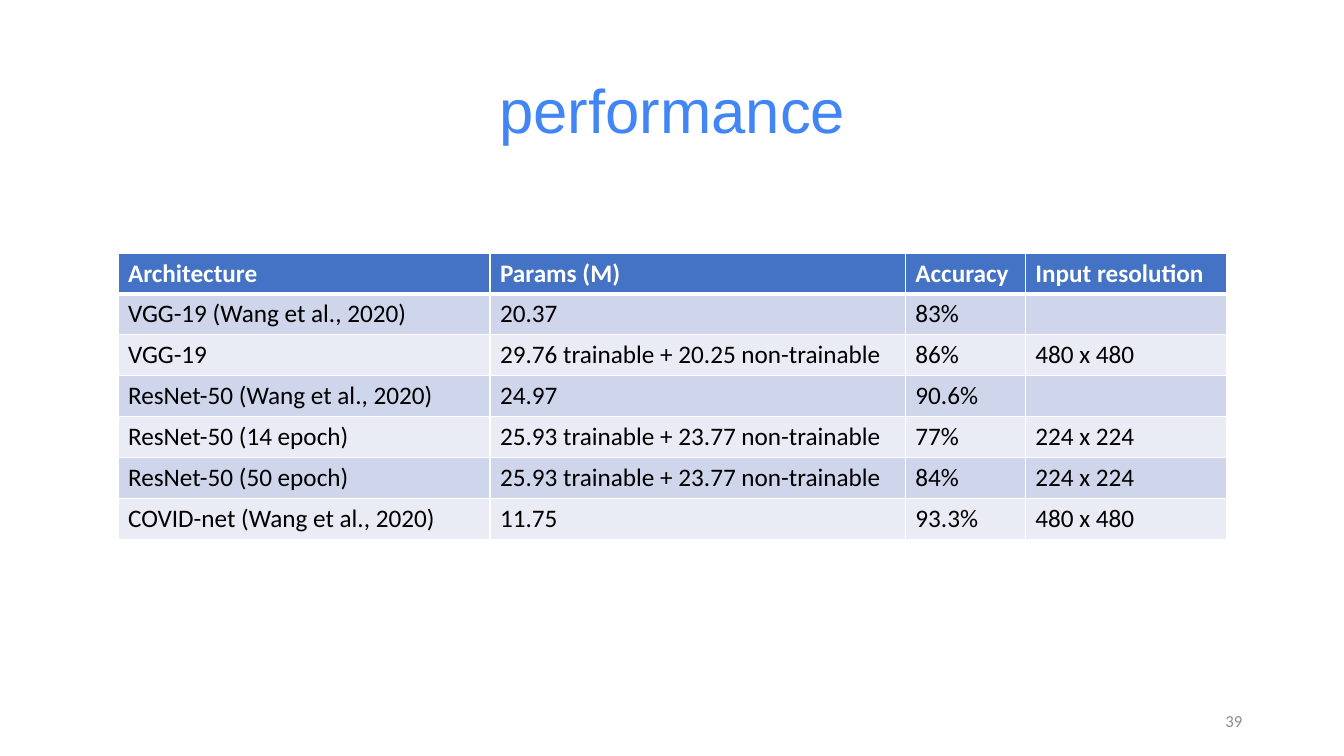
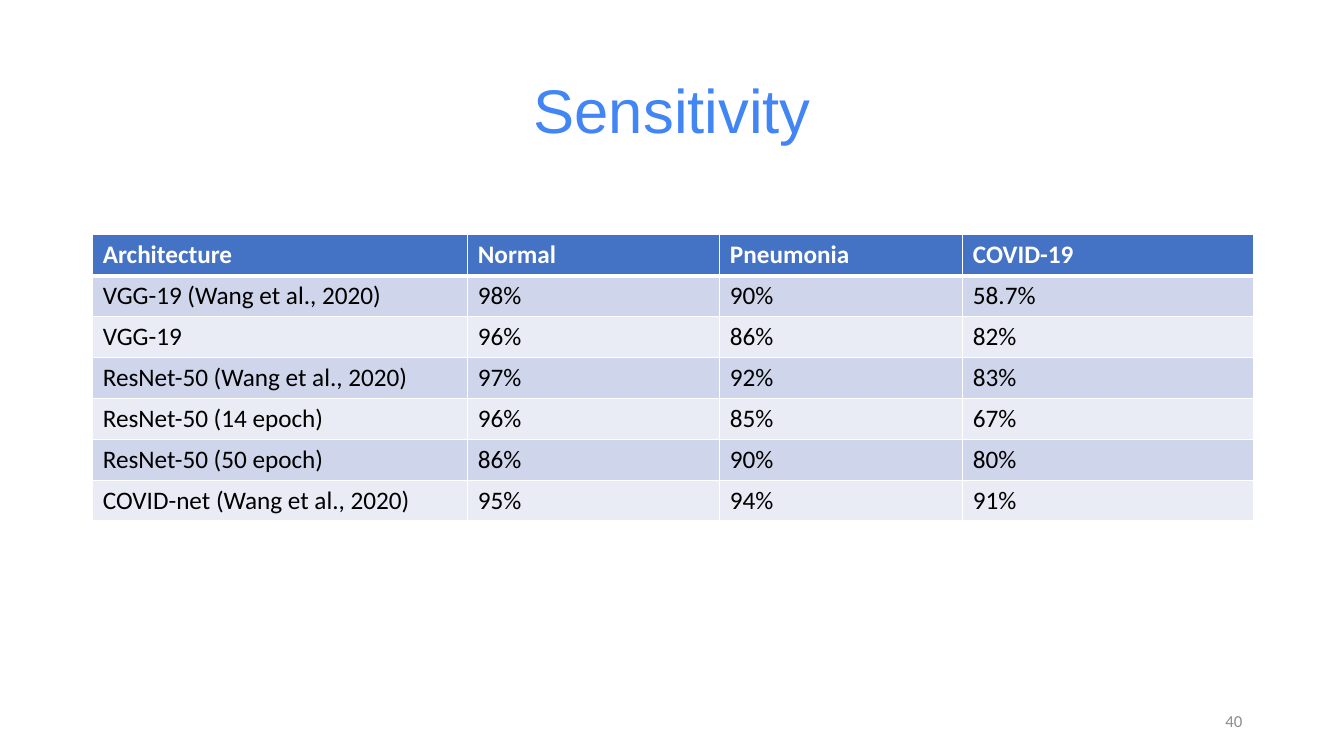
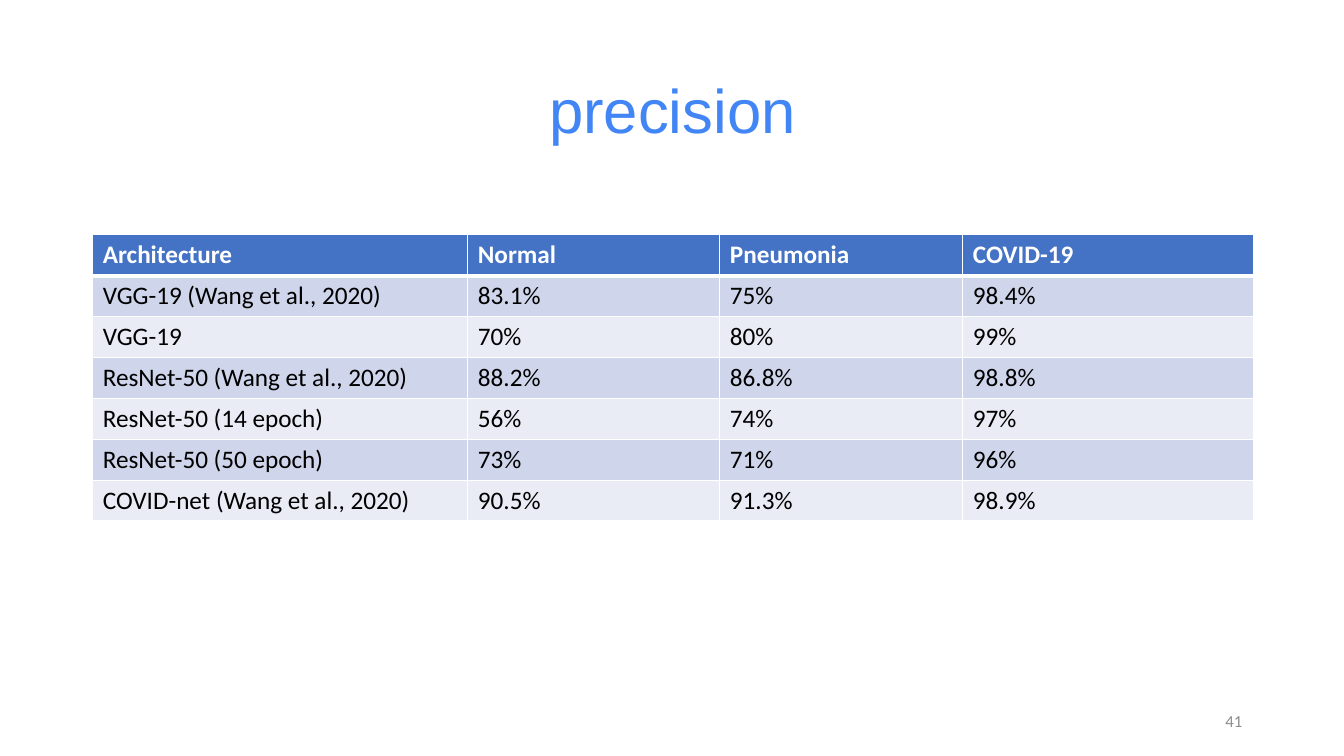
import pptx
import pptx.dml.color
import pptx.enum.text
import pptx.oxml.ns
import pptx.util
from lxml import etree

Inches = pptx.util.Inches
Align = pptx.enum.text.PP_ALIGN

COLORS = {
    "title": "4285F4",
    "header": "4472C4",
    "band_dark": "CFD5EA",
    "band_light": "E9EBF5",
    "white": "FFFFFF",
    "black": "000000",
    "page_number": "8C8C8C",
}
FIRST_PAGE = 39
TABLE_HEIGHT = 2.84

MODELS = [
    "VGG-19 (Wang et al., 2020)",
    "VGG-19",
    "ResNet-50 (Wang et al., 2020)",
    "ResNet-50 (14 epoch)",
    "ResNet-50 (50 epoch)",
    "COVID-net (Wang et al., 2020)",
]
PERFORMANCE_LAYOUT = {"left": 1.17, "top": 2.51, "widths": [3.69, 4.12, 1.19, 2]}
CLASS_LAYOUT = {"left": 0.92, "top": 2.33, "widths": [3.72, 2.5, 2.41, 2.88]}
CLASSES = ["Normal", "Pneumonia", "COVID-19"]

# Title, table layout, headings after the first, one row of values per model
SLIDES = [
    ("performance", PERFORMANCE_LAYOUT, ["Params (M)", "Accuracy", "Input resolution"], [
        ["20.37", "83%", ""],
        ["29.76 trainable + 20.25 non-trainable", "86%", "480 x 480"],
        ["24.97", "90.6%", ""],
        ["25.93 trainable + 23.77 non-trainable", "77%", "224 x 224"],
        ["25.93 trainable + 23.77 non-trainable", "84%", "224 x 224"],
        ["11.75", "93.3%", "480 x 480"],
    ]),
    ("Sensitivity", CLASS_LAYOUT, CLASSES, [
        ["98%", "90%", "58.7%"],
        ["96%", "86%", "82%"],
        ["97%", "92%", "83%"],
        ["96%", "85%", "67%"],
        ["86%", "90%", "80%"],
        ["95%", "94%", "91%"],
    ]),
    ("precision", CLASS_LAYOUT, CLASSES, [
        ["83.1%", "75%", "98.4%"],
        ["70%", "80%", "99%"],
        ["88.2%", "86.8%", "98.8%"],
        ["56%", "74%", "97%"],
        ["73%", "71%", "96%"],
        ["90.5%", "91.3%", "98.9%"],
    ]),
]


def rgb(color):
    return pptx.dml.color.RGBColor.from_string(COLORS[color])


def write_text(frame, text, *, size=18, font="Calibri", color="black", bold=False,
               align=Align.LEFT, line_spacing=1.0):
    paragraph = frame.paragraphs[0]
    paragraph.alignment = align
    paragraph.line_spacing = line_spacing
    paragraph.font.size = pptx.util.Pt(size)
    if text:
        run = paragraph.add_run()
        run.text = text
        run.font.size = pptx.util.Pt(size)
        run.font.name = font
        run.font.bold = bold
        run.font.color.rgb = rgb(color)


def add_text(slide, text, left, top, width, height, **text_format):
    box = slide.shapes.add_textbox(Inches(left), Inches(top), Inches(width), Inches(height))
    box.text_frame.word_wrap = True
    box.text_frame.vertical_anchor = pptx.enum.text.MSO_ANCHOR.MIDDLE
    write_text(box.text_frame, text, **text_format)


def set_borders(cell, top=1, bottom=1):
    """Draw white cell borders; widths are in points."""
    qn = pptx.oxml.ns.qn
    properties = cell._tc.get_or_add_tcPr()
    for side, width in (("L", 1), ("R", 1), ("T", top), ("B", bottom)):
        line = etree.SubElement(properties, qn(f"a:ln{side}"), w=str(pptx.util.Pt(width)))
        fill = etree.SubElement(line, qn("a:solidFill"))
        etree.SubElement(fill, qn("a:srgbClr"), val=COLORS["white"])


def add_results_table(slide, rows, left, top, widths):
    table = slide.shapes.add_table(
        len(rows), len(widths), Inches(left), Inches(top),
        Inches(sum(widths)), Inches(TABLE_HEIGHT)).table
    for column, width in zip(table.columns, widths):
        column.width = Inches(width)
    for row_index, row in enumerate(rows):
        is_header = row_index == 0
        band = "header" if is_header else "band_dark" if row_index % 2 else "band_light"
        for column_index, text in enumerate(row):
            cell = table.cell(row_index, column_index)
            set_borders(cell, top=3 if row_index == 1 else 1, bottom=3 if is_header else 1)
            cell.fill.solid()
            cell.fill.fore_color.rgb = rgb(band)
            write_text(cell.text_frame, text, bold=is_header,
                       color="white" if is_header else "black")


def add_results_slide(deck, page, title, layout, headings, values):
    slide = deck.slides.add_slide(deck.slide_layouts[6])
    add_text(slide, title, 0.92, 0.4, 11.5, 1.45, size=44, font="Arial",
             color="title", align=Align.CENTER, line_spacing=0.9)
    rows = [["Architecture", *headings]]
    rows += [[model, *results] for model, results in zip(MODELS, values)]
    add_results_table(slide, rows, **layout)
    add_text(slide, str(page), 9.42, 6.95, 3, 0.4, size=12,
             color="page_number", align=Align.RIGHT)


def main():
    deck = pptx.Presentation()
    deck.slide_width = Inches(13.33)
    deck.slide_height = Inches(7.5)
    for page, content in enumerate(SLIDES, start=FIRST_PAGE):
        add_results_slide(deck, page, *content)
    deck.save("out.pptx")


if __name__ == "__main__":
    main()
